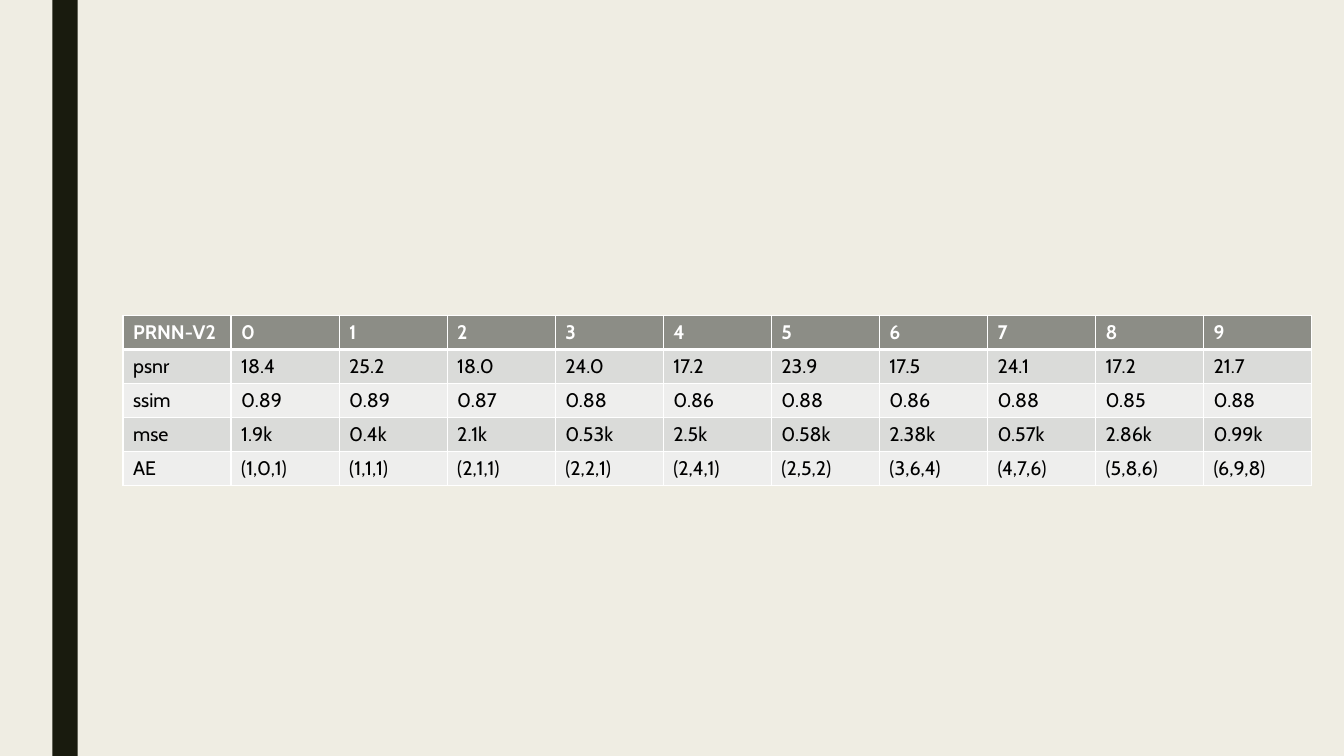
import pptx
import pptx.dml.color
import pptx.enum.shapes
import pptx.oxml
import pptx.oxml.ns
import pptx.util

Inches = pptx.util.Inches
RGBColor = pptx.dml.color.RGBColor

PAPER = RGBColor(0xEF, 0xED, 0xE3)
STRIPE = RGBColor(0x19, 0x1B, 0x0E)
HEADER = RGBColor(0x8C, 0x8D, 0x86)
DARK_BAND = RGBColor(0xDA, 0xDB, 0xD9)
LIGHT_BAND = RGBColor(0xEE, 0xEE, 0xED)
WHITE = RGBColor(0xFF, 0xFF, 0xFF)
BLACK = RGBColor(0x00, 0x00, 0x00)

SCORES = [
    ["PRNN-V2"] + [str(digit) for digit in range(10)],
    ["psnr", "18.4", "25.2", "18.0", "24.0", "17.2", "23.9", "17.5", "24.1", "17.2", "21.7"],
    ["ssim", "0.89", "0.89", "0.87", "0.88", "0.86", "0.88", "0.86", "0.88", "0.85", "0.88"],
    ["mse", "1.9k", "0.4k", "2.1k", "0.53k", "2.5k", "0.58k", "2.38k", "0.57k", "2.86k", "0.99k"],
    ["AE", "(1,0,1)", "(1,1,1)", "(2,1,1)", "(2,2,1)", "(2,4,1)", "(2,5,2)", "(3,6,4)",
     "(4,7,6)", "(5,8,6)", "(6,9,8)"],
]


def add_border(cell, side, points):
    cell._tc.get_or_add_tcPr().append(pptx.oxml.parse_xml(
        f'<a:ln{side} {pptx.oxml.ns.nsdecls("a")} w="{pptx.util.Pt(points)}">'
        f'<a:solidFill><a:srgbClr val="{WHITE}"/></a:solidFill></a:ln{side}>'))


deck = pptx.Presentation()
deck.slide_width = Inches(13.33)
deck.slide_height = Inches(7.5)
slide = deck.slides.add_slide(deck.slide_layouts[6])
slide.background.fill.solid()
slide.background.fill.fore_color.rgb = PAPER

stripe = slide.shapes.add_shape(
    pptx.enum.shapes.MSO_SHAPE.RECTANGLE, Inches(0.52), 0, Inches(0.25), deck.slide_height)
stripe.shadow.inherit = False
stripe.fill.solid()
stripe.fill.fore_color.rgb = STRIPE
stripe.line.fill.background()

scores = slide.shapes.add_table(
    len(SCORES), len(SCORES[0]), Inches(1.22), Inches(3.13), Inches(11.79), Inches(1.69)).table

for row, values in enumerate(SCORES):
    is_header = row == 0
    band = HEADER if is_header else DARK_BAND if row % 2 else LIGHT_BAND
    text_format = {"name": "Cabin", "size": pptx.util.Pt(14), "bold": is_header}
    borders = {"L": 1, "R": 1, "T": 3 if row == 1 else 1, "B": 3 if is_header else 1}
    for column, value in enumerate(values):
        cell = scores.cell(row, column)
        cell.text = value
        font = cell.text_frame.paragraphs[0].runs[0].font
        for attribute, setting in text_format.items():
            setattr(font, attribute, setting)
        font.color.rgb = WHITE if is_header else BLACK
        for side, points in borders.items():
            add_border(cell, side, points)
        cell.fill.solid()
        cell.fill.fore_color.rgb = band

deck.save("out.pptx")
